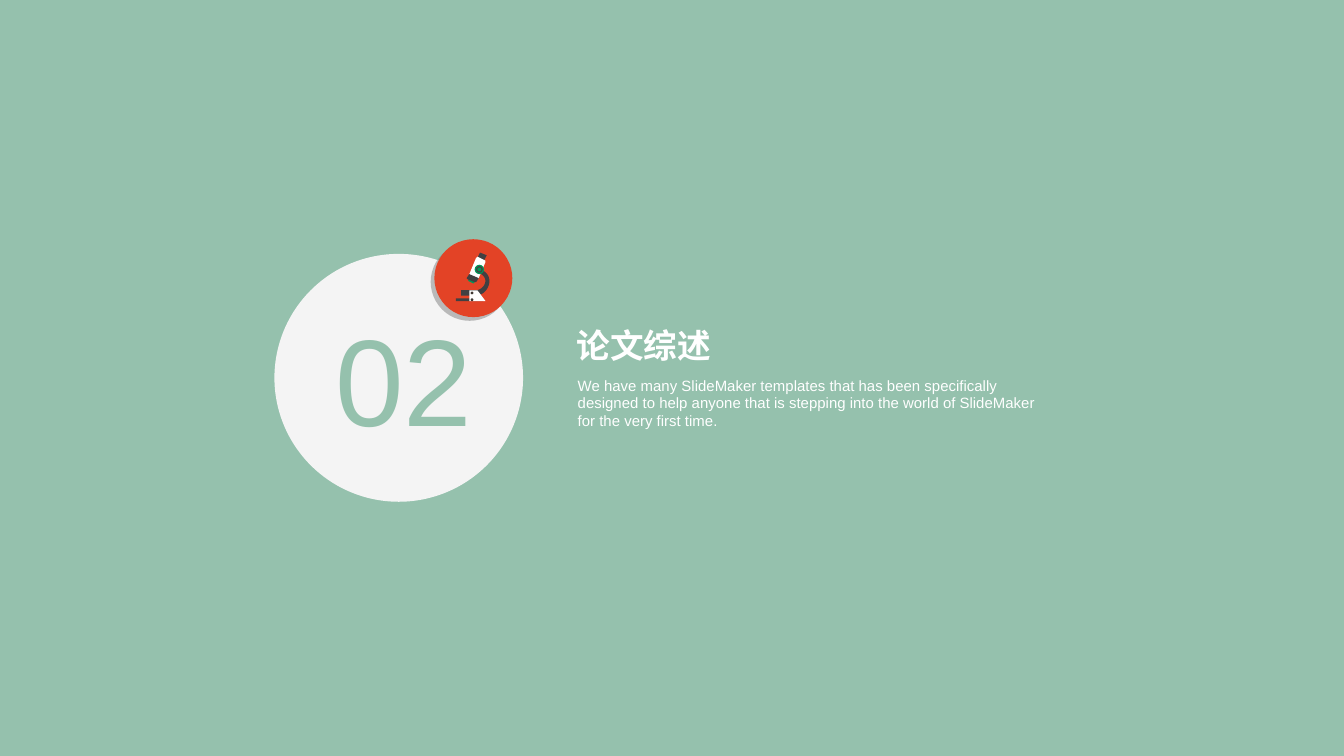
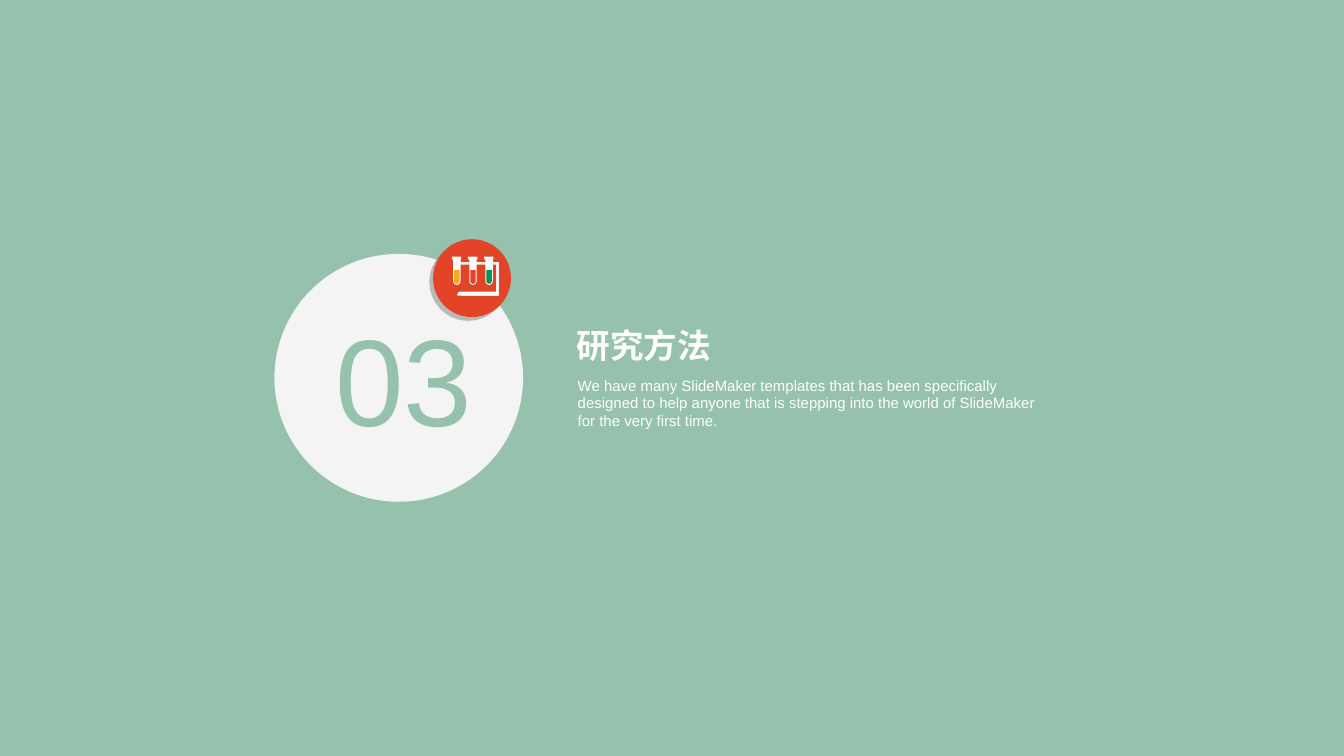
from dataclasses import dataclass, field

from pptx import Presentation
from pptx.dml.color import RGBColor as RGB
from pptx.enum.shapes import MSO_SHAPE as Preset
from pptx.enum.text import MSO_AUTO_SIZE as AutoSize, PP_ALIGN as Align
from pptx.oxml import parse_xml
from pptx.oxml.ns import nsdecls, qn
from pptx.util import Pt


@dataclass(frozen=True)
class Theme:
    font: str = "Arial"
    sage: str = "95C1AD"
    disc: str = "F4F4F4"
    white: str = "FFFFFF"
    red: str = "E34326"
    green: str = "009658"
    amber: str = "FAAB18"
    charcoal: str = "414042"
    screw: str = "403833"
    frame: str = "F1F0EF"
    shadow: str = "808080"
    sizes: dict = field(default_factory=lambda: {"number": 66, "title": 18, "body": 8})


THEME = Theme()
ICON_UNIT = 0.72
BADGE_SIZE = 58
BADGE_TOP = 128.16
BODY = (
    "We have many SlideMaker templates that has been specifically designed to help "
    "anyone that is stepping into the world of SlideMaker for the very first time."
)


def trace(steps, samples=10):
    points = []
    for step in steps:
        if len(step) == 2:
            points.append(step)
            continue
        x0, y0 = points[-1]
        x1, y1, x2, y2, x3, y3 = step
        for index in range(1, samples + 1):
            t = index / samples
            a, b, c, d = (1 - t) ** 3, 3 * t * (1 - t) ** 2, 3 * t * t * (1 - t), t**3
            points.append((a * x0 + b * x1 + c * x2 + d * x3,
                           a * y0 + b * y1 + c * y2 + d * y3))
    return points


class Deck:
    """Holds the theme and the current slide, and draws each kind of element."""

    def __init__(self, theme):
        self.theme = theme
        self.presentation = Presentation()
        self.presentation.slide_width = Pt(720)
        self.presentation.slide_height = Pt(405)

    def new_slide(self):
        self.slide = self.presentation.slides.add_slide(self.presentation.slide_layouts[6])
        fill = self.slide.background.fill
        fill.solid()
        fill.fore_color.rgb = RGB.from_string(self.theme.sage)

    def paint(self, shape, color):
        shape.fill.solid()
        shape.fill.fore_color.rgb = RGB.from_string(color)
        shape.line.fill.background()
        shape.shadow.inherit = False
        return shape

    def preset(self, shapes, kind, box, color):
        return self.paint(shapes.add_shape(kind, *map(Pt, box)), color)

    def text(self, text, box, size, color, align=Align.LEFT, bold=False, inset=None):
        frame = self.slide.shapes.add_textbox(*map(Pt, box)).text_frame
        layout = {"word_wrap": True, "auto_size": AutoSize.SHAPE_TO_FIT_TEXT}
        if inset is not None:
            layout |= {f"margin_{side}": Pt(inset) for side in ("left", "top", "right", "bottom")}
        for name, value in layout.items():
            setattr(frame, name, value)
        paragraph = frame.paragraphs[0]
        paragraph.alignment = align
        run = paragraph.add_run()
        run.text = text
        style = {"name": self.theme.font, "size": Pt(self.theme.sizes[size]), "bold": bold}
        for name, value in style.items():
            setattr(run.font, name, value)
        run.font.color.rgb = RGB.from_string(color)

    def start_badge(self, left):
        self.badge_left = left
        self.icon = self.slide.shapes.add_group_shape().shapes
        badge = self.icon_preset(Preset.OVAL, (0, 0, BADGE_SIZE, BADGE_SIZE), self.theme.red)
        effects = badge.element.spPr.find(qn("a:effectLst"))
        effects.append(parse_xml(
            f'<a:outerShdw {nsdecls("a")} blurRad="0" dist="{Pt(2.8)}" dir="8100000" '
            f'algn="ctr" rotWithShape="0"><a:srgbClr val="{self.theme.shadow}">'
            '<a:alpha val="50000"/></a:srgbClr></a:outerShdw>'
        ))

    def icon_preset(self, kind, box, color):
        x, y, width, height = (value * ICON_UNIT for value in box)
        return self.preset(self.icon, kind, (self.badge_left + x, BADGE_TOP + y, width, height), color)

    def icon_outline(self, steps, color, shift=0):
        points = [(Pt(self.badge_left + (x + shift) * ICON_UNIT), Pt(BADGE_TOP + y * ICON_UNIT))
                  for x, y in trace(steps)]
        builder = self.icon.build_freeform(*points[0])
        builder.add_line_segments(points[1:], close=True)
        self.paint(builder.convert_to_shape(), color)

    def section(self, number, title):
        self.new_slide()
        self.preset(self.slide.shapes, Preset.OVAL, (147, 136, 133.2, 132.8), self.theme.disc)
        self.text(title, (308.9, 174.24, 235.44, 21.6), "title", self.theme.white, bold=True, inset=0)
        self.text(BODY, (302.4, 198, 260.64, 36), "body", self.theme.white)
        self.text(number, (167.04, 159.12, 98.64, 86.4), "number", self.theme.sage, Align.CENTER)

    def save(self):
        self.presentation.save("out.pptx")


def draw_microscope(deck):
    theme = deck.theme
    lens = [(29, 33), (25, 31), (26, 30), (27, 30), (29, 31), (30, 32)]
    eyepiece = [(37, 16), (36, 17), (33, 15), (32, 14), (34, 10), (39, 12)]
    barrel = [(33, 29), (32, 30), (26, 27), (26, 26), (31, 14), (32, 13), (38, 16), (38, 17)]
    nose = [(31, 32), (30, 32), (25, 30), (24, 29), (26, 26), (33, 29)]
    arm = [(41, 31), (41, 24, 33, 22, 33, 22), (32, 22), (32, 24), (33, 25),
           (33, 25, 38, 27, 38, 31), (38, 35, 34, 38, 31, 38), (20, 38), (20, 42),
           (31, 42), (36, 42, 41, 37, 41, 31)]
    stage = [(37, 45), (36, 46), (16, 46), (16, 44), (36, 44)]
    foot = [(38, 46), (26, 46), (26, 38), (32, 38)]
    outlines = [(lens, theme.green), (eyepiece, theme.charcoal), (barrel, theme.white),
                (nose, theme.charcoal), (arm, theme.charcoal), (stage, theme.charcoal),
                (foot, theme.white)]
    dots = [(30, 19, 7, theme.green), (31, 20, 5, theme.charcoal), (32, 21, 3, theme.green),
            (27, 39, 2, theme.screw), (27, 44, 2, theme.screw)]
    for steps, color in outlines:
        deck.icon_outline(steps, color)
    for x, y, size, color in dots:
        deck.icon_preset(Preset.OVAL, (x, y, size, size), color)


def draw_test_tubes(deck):
    theme = deck.theme
    stand = [(16, 17), (49, 17), (49, 42), (21, 42), (21, 41), (47, 41), (47, 19), (16, 19)]
    glass = [(0, 14), (0, 31), (0, 35, 5.5, 35, 5.5, 31), (5.5, 14)]
    liquid = [(0.75, 23), (0.75, 31), (0.75, 34, 4.75, 34, 4.75, 31), (4.75, 23)]
    base = [(49, 42), (18, 42), (18, 40, 19, 39, 21, 39), (46, 39), (47, 39, 49, 40, 49, 42)]
    deck.icon_outline(stand, theme.frame)
    for index, color in enumerate((theme.amber, theme.red, theme.green)):
        left = 15 + 12 * index
        deck.icon_outline(glass, theme.white, left)
        deck.icon_outline(liquid, color, left)
        deck.icon_preset(Preset.RECTANGLE, (left - 1, 13, 7, 2), theme.white)
    deck.icon_outline(base, theme.white)


def main():
    deck = Deck(THEME)
    sections = [("02", "论文综述", 232.7, draw_microscope),
                ("03", "研究方法", 232, draw_test_tubes)]
    for number, title, badge_left, draw_icon in sections:
        deck.section(number, title)
        deck.start_badge(badge_left)
        draw_icon(deck)
    deck.save()


if __name__ == "__main__":
    main()
